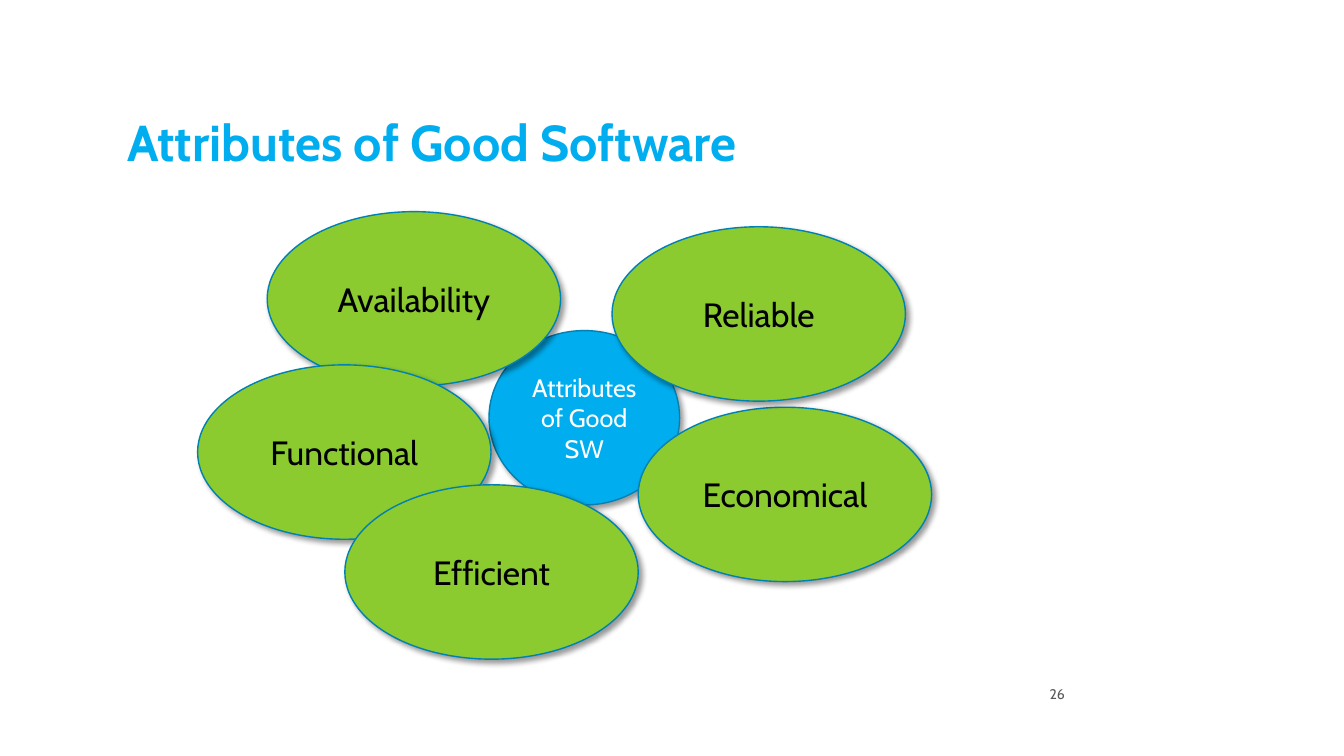
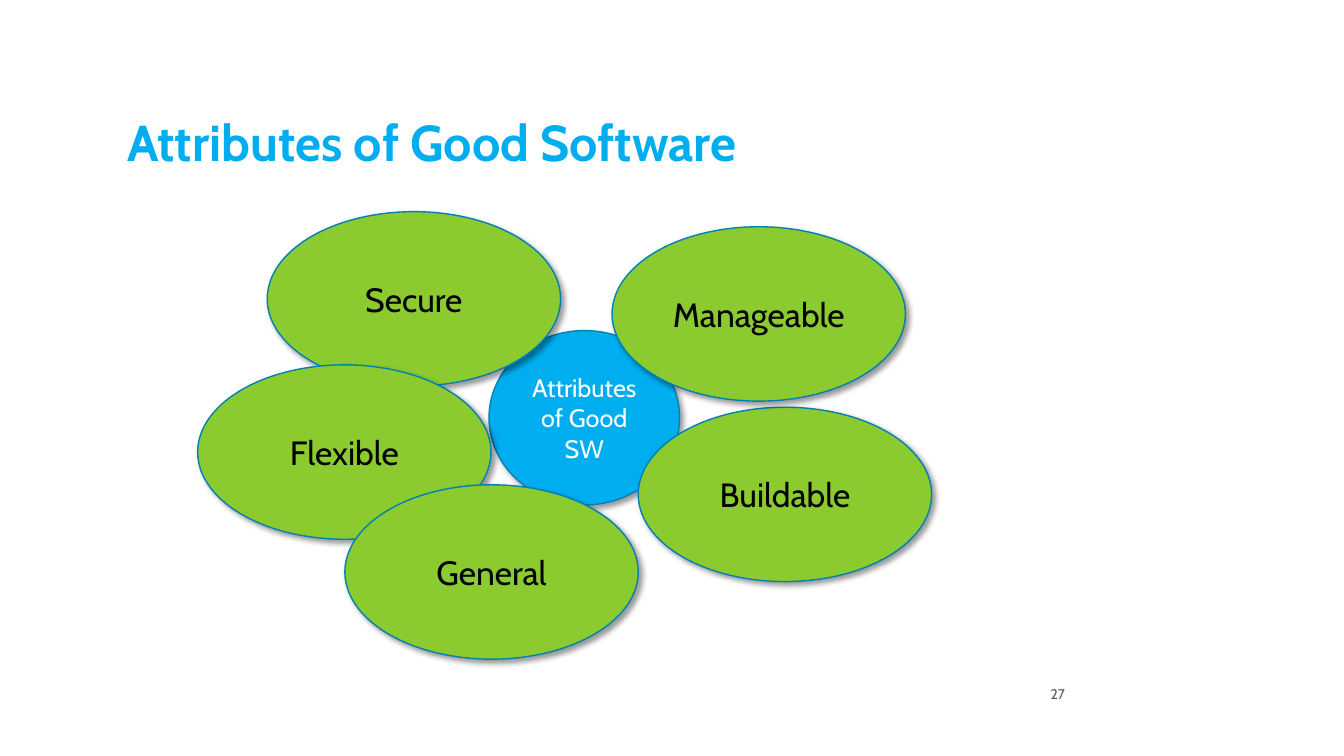
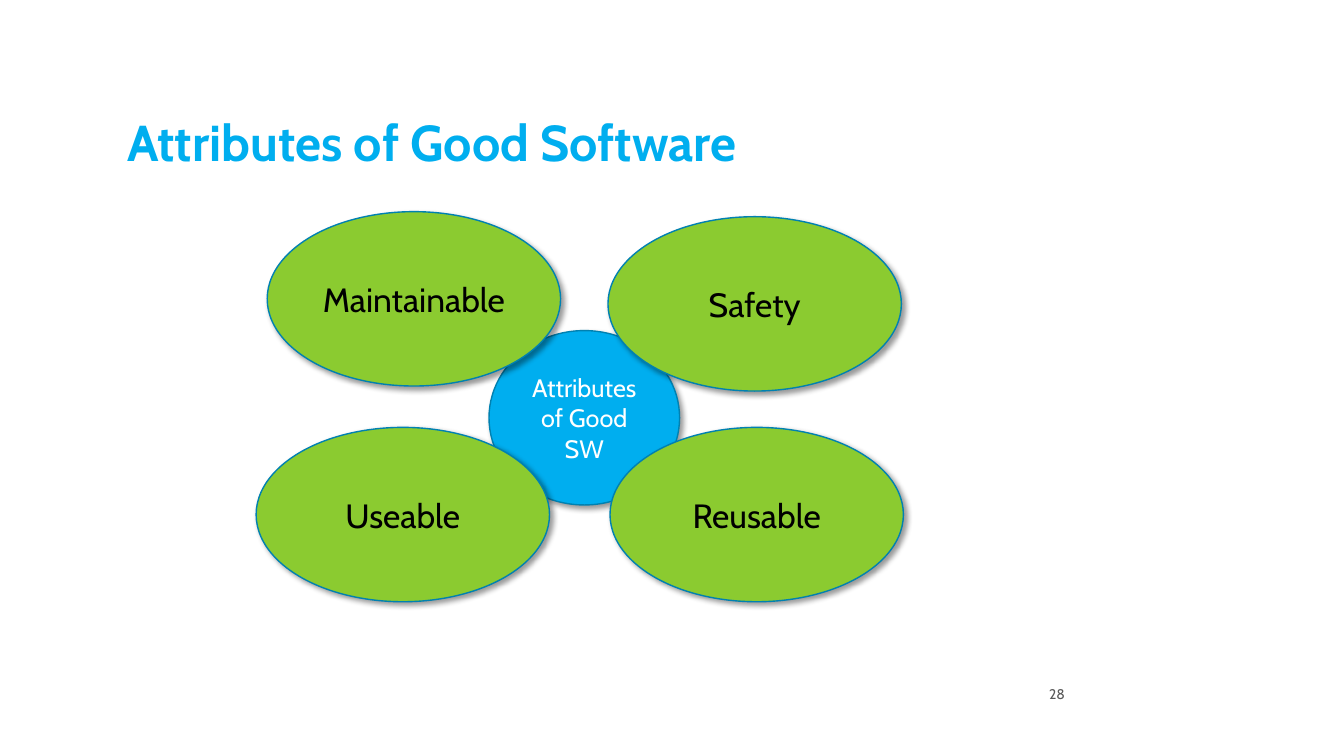
from lxml.etree import SubElement
from pptx import Presentation
from pptx.dml.color import RGBColor
from pptx.enum.shapes import MSO_SHAPE
from pptx.enum.text import MSO_ANCHOR, PP_ALIGN
from pptx.oxml.ns import qn
from pptx.util import Inches, Pt

FONT = "Cabin"
BLUE, GREEN, OUTLINE = "00AEEF", "8BCB30", "0081B1"
WHITE, BLACK, GRAY = "FFFFFF", "000000", "595959"
TITLE = "Attributes of Good Software"
HUB = "Attributes of Good SW"
HUB_BOX = (4.85, 3.28, 1.89, 1.73)
PETAL_SIZE = (2.91, 1.73)
FIRST_NUMBER = 26

FIVE_PETALS = [(2.65, 2.1), (1.96, 3.62), (3.42, 4.81), (6.33, 4.04), (6.07, 2.25)]
FOUR_PETALS = [(2.65, 2.1), (2.54, 4.24), (6.05, 4.24), (6.03, 2.15)]
SLIDES = [
    (FIVE_PETALS, ["Availability", "Functional", "Efficient", "Economical", "Reliable"]),
    (FIVE_PETALS, ["Secure", "Flexible", "General", "Buildable", "Manageable"]),
    (FOUR_PETALS, ["Maintainable", "Useable", "Reusable", "Safety"]),
]


def rgb(color):
    """Turn a hex string into a colour."""
    return RGBColor.from_string(color)


def write(tf, text, size, color, bold=False, align=PP_ALIGN.CENTER,
          anchor=MSO_ANCHOR.MIDDLE, spacing=None):
    """Put one formatted paragraph into a text frame."""
    tf.word_wrap = True
    tf.vertical_anchor = anchor
    p = tf.paragraphs[0]
    p.alignment = align
    p.line_spacing = spacing
    r = p.add_run()
    r.text = text
    r.font.name = FONT
    r.font.size = Pt(size)
    r.font.bold = bold
    r.font.color.rgb = rgb(color)


def add_shadow(sp):
    """Give a shape a soft shadow towards the lower right."""
    sp.shadow.inherit = False
    effects = sp._element.spPr.find(qn("a:effectLst"))
    shadow = SubElement(effects, qn("a:outerShdw"), blurRad=str(Pt(4)),
                        dist=str(Pt(3)), dir="2700000", algn="tl", rotWithShape="0")
    color = SubElement(shadow, qn("a:srgbClr"), val=BLACK)
    SubElement(color, qn("a:alpha"), val="40000")


def add_ellipse(s, box, text, fill, size, color, side_inset=0.1):
    """Add an outlined ellipse with centred text."""
    sp = s.shapes.add_shape(MSO_SHAPE.OVAL, *map(Inches, box))
    sp.fill.solid()
    sp.fill.fore_color.rgb = rgb(fill)
    sp.line.color.rgb = rgb(OUTLINE)
    sp.line.width = Pt(1)
    add_shadow(sp)
    tf = sp.text_frame
    tf.margin_left = tf.margin_right = Inches(side_inset)
    write(tf, text, size, color)


def add_number(s, number):
    """Add the slide number at the lower right."""
    sp = s.shapes.add_textbox(Inches(9.33), Inches(6.73), Inches(1.33), Inches(0.3))
    write(sp.text_frame, str(number), 10, GRAY, align=PP_ALIGN.RIGHT)


def prepare_layout(prs):
    """Place the title on the title-only layout and return the layout."""
    layout = prs.slide_layouts.get_by_name("Title Only")
    title = layout.placeholders[0]
    title.left, title.top = Inches(1.16), Inches(0.58)
    title.width, title.height = Inches(9.5), Inches(1.17)
    return layout


def add_attribute_slide(prs, layout, number, places, names):
    """Add a slide with attributes around the central circle."""
    s = prs.slides.add_slide(layout)
    write(s.shapes.title.text_frame, TITLE, 36, BLUE, bold=True,
          align=PP_ALIGN.LEFT, anchor=MSO_ANCHOR.BOTTOM, spacing=0.8)
    add_ellipse(s, HUB_BOX, HUB, BLUE, 18, WHITE)
    for place, name in zip(places, names):
        add_ellipse(s, place + PETAL_SIZE, name, GREEN, 24, BLACK, side_inset=0)
    add_number(s, number)


def main():
    """Build and save the presentation."""
    prs = Presentation()
    prs.slide_width, prs.slide_height = Inches(13.33), Inches(7.5)
    layout = prepare_layout(prs)
    for number, (places, names) in enumerate(SLIDES, FIRST_NUMBER):
        add_attribute_slide(prs, layout, number, places, names)
    prs.save("out.pptx")


if __name__ == "__main__":
    main()
